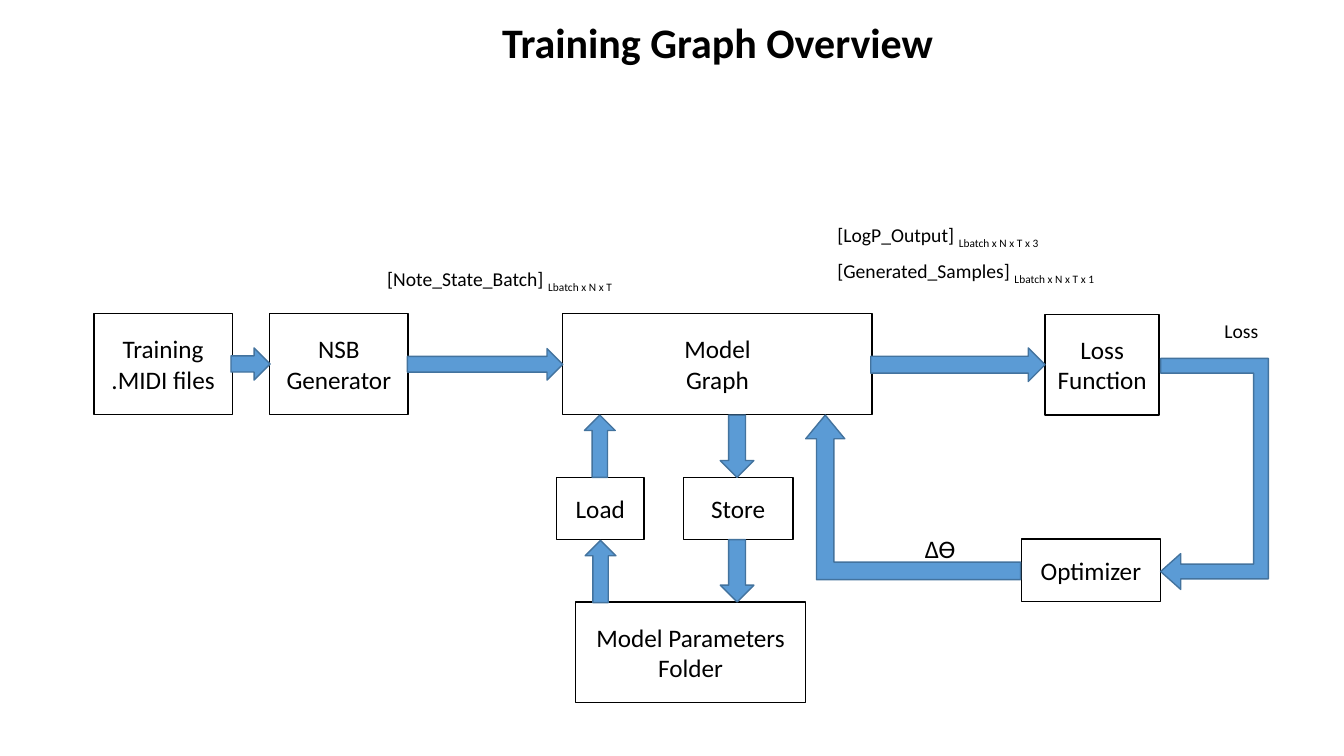
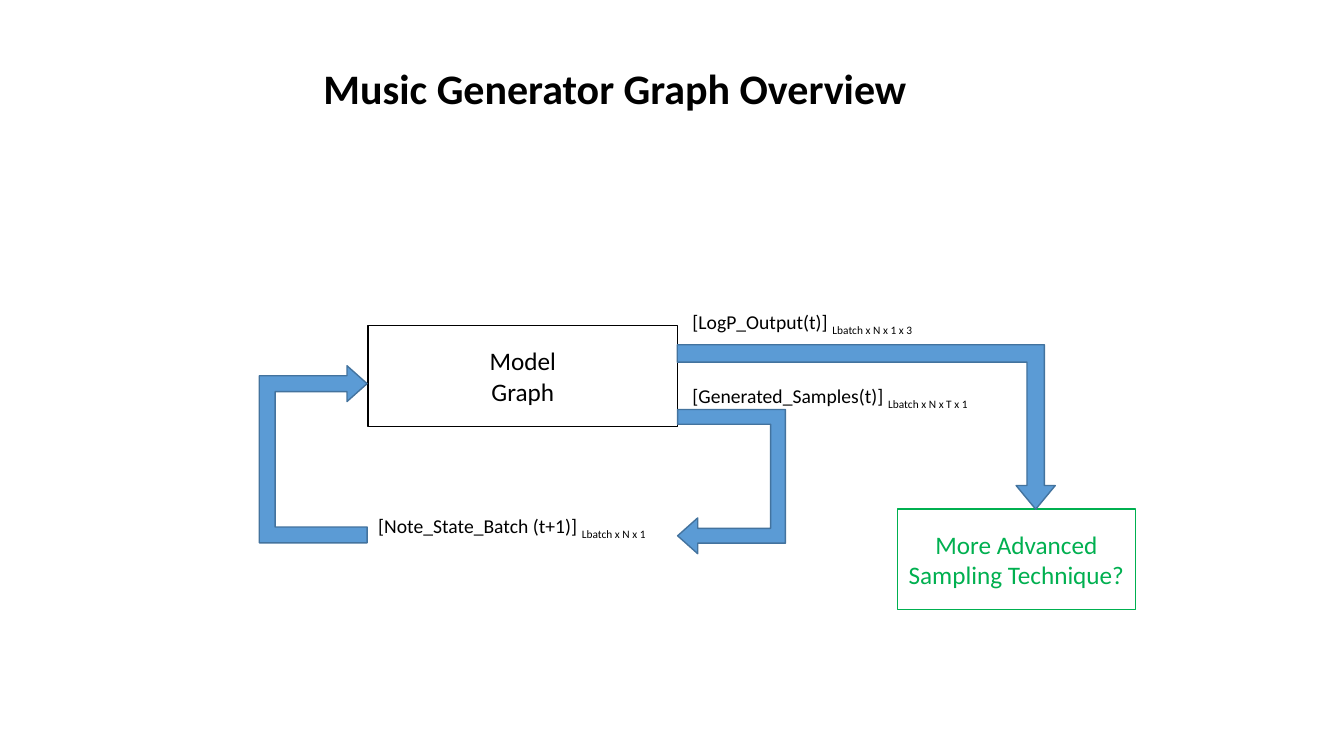
import pptx
import pptx.util
import pptx.dml.color
import pptx.enum.shapes
import pptx.enum.text

Pt = pptx.util.Pt
KIND = pptx.enum.shapes.MSO_SHAPE
ALIGN = pptx.enum.text.PP_ALIGN
ANCHOR = pptx.enum.text.MSO_ANCHOR

FONT = "Calibri"
BLACK, WHITE, GREEN = "000000", "FFFFFF", "00B050"
BLUE, EDGE = "5B9BD5", "43739E"
BEND = (0.106, 0.119, 0.144, 0)
TURN = (0.137, 0.166, 0.186, 0, 1)
LOOP = (0.147,) + TURN[1:]


def hue(code):
    return pptx.dml.color.RGBColor.from_string(code)


def write(shape, text, size=18, color=BLACK, bold=False, align=ALIGN.LEFT,
          anchor=ANCHOR.TOP, wrap=True, sub=""):
    """Fill a shape with text, one paragraph a line, and a subscript last."""
    frame = shape.text_frame
    frame.word_wrap = wrap
    frame.vertical_anchor = anchor
    frame.text = text
    for para in frame.paragraphs:
        para.alignment = align
    if sub:
        run = frame.paragraphs[-1].add_run()
        run.text = sub
        run.font._element.set("baseline", "-25000")
    for para in frame.paragraphs:
        for run in para.runs:
            font = run.font
            font.name, font.size, font.bold = FONT, Pt(size), bold
            font.color.rgb = hue(color)


# Each slide: title, boxes, arrows and labels, lengths in points
row, high, low = 224, 72, 44.5
pages = [
    {
        "title": ("Training Graph Overview", 351.5, 8, 325.5),
        "boxes": [
            ("Training\n.MIDI files", 67, row, 99, high, BLACK),
            ("NSB\nGenerator", 192.5, row, 99, high, BLACK),
            ("Model\nGraph", 402, row, 221, high, BLACK),
            ("Loss\nFunction", 746.5, row + 0.5, 81.5, high, BLACK),
            ("Load", 397.5, 341, 62.5, low, BLACK),
            ("Store", 488, 341, 78.5, low, BLACK),
            ("Optimizer", 729.5, 385, 99.5, low, BLACK),
            ("Model Parameters\nFolder", 411, 430, 164.5, high, BLACK),
        ],
        "arrows": [
            (KIND.RIGHT_ARROW, 165, 248.5, 28, 23, 0, ()),
            (KIND.RIGHT_ARROW, 291, 249, 111, 22.5, 0, ()),
            (KIND.RIGHT_ARROW, 622, 248.5, 124.5, 24, 0, ()),
            (KIND.UP_ARROW, 417.5, 296.5, 22, low, 0, ()),
            (KIND.UP_ARROW, 418, 386, 22, low, 0, ()),
            (KIND.DOWN_ARROW, 514.5, 296.5, 24, low, 0, ()),
            (KIND.DOWN_ARROW, 514.5, 385.5, 24, low, 0, ()),
            (KIND.BENT_ARROW, 593.5, 278.5, 117.5, 153.5, 270, BEND),
            (KIND.U_TURN_ARROW, 785, 300, 165, 77, 90, TURN),
        ],
        "labels": [
            ("[Note_State_Batch] ", "Lbatch x N x T", 269.5, 187, 201, 14),
            ("[LogP_Output] ", "Lbatch x N x T x 3", 591, 156, 220, 14),
            ("[Generated_Samples] ", "Lbatch x N x T x 1", 591, 181.5, 226, 14),
            ("Loss", "", 867.5, 224.5, 46, 14),
            ("Δϴ", "", 653.5, 377.5, 39, 18),
        ],
    },
    {
        "title": ("Music Generator Graph Overview", 224, 41, 435),
        "boxes": [
            ("Model\nGraph", 263, 232.5, 221, high, BLACK),
            ("More Advanced Sampling Technique?", 641, 363.5, 170, high, GREEN),
        ],
        "arrows": [
            (KIND.U_TURN_ARROW, 471, 305.5, 103, 77, 90, TURN),
            (KIND.U_TURN_ARROW, 160.5, 286, 126.5, 77, 270, LOOP),
            (KIND.BENT_ARROW, 560, 170, 117.5, 270, 90, BEND),
        ],
        "labels": [
            ("[Note_State_Batch (t+1)] ", "Lbatch x N x 1", 263, 363.5, 223, 14),
            ("[LogP_Output(t)] ", "Lbatch x N x 1 x 3", 487.5, 218, 220, 14),
            ("[Generated_Samples(t)] ", "Lbatch x N x T x 1", 487.5, 270.5, 226, 14),
        ],
    },
]

deck = pptx.Presentation()
deck.slide_width, deck.slide_height = Pt(960), Pt(540)


def draw(slide, kind, area, fill, line):
    """Add a flat preset shape with a thin outline."""
    shape = slide.shapes.add_shape(kind, *map(Pt, area))
    shape.shadow.inherit = False
    shape.fill.solid()
    shape.fill.fore_color.rgb = hue(fill)
    shape.line.color.rgb = hue(line)
    shape.line.width = Pt(1)
    return shape


for page in pages:
    slide = deck.slides.add_slide(deck.slide_layouts[6])

    # Title
    text, left, top, wide = page["title"]
    box = slide.shapes.add_textbox(Pt(left), Pt(top), Pt(wide), Pt(44))
    write(box, text, size=30, bold=True, wrap=False)

    # Boxes
    for text, *area, color in page["boxes"]:
        box = draw(slide, KIND.RECTANGLE, area, WHITE, color)
        write(box, text, color=color, align=ALIGN.CENTER, anchor=ANCHOR.MIDDLE)

    # Block arrows
    for kind, *area, turn, bends in page["arrows"]:
        arrow = draw(slide, kind, area, BLUE, EDGE)
        arrow.rotation = turn
        for i, bend in enumerate(bends):
            arrow.adjustments[i] = bend

    # Labels
    for text, sub, left, top, wide, size in page["labels"]:
        box = slide.shapes.add_textbox(Pt(left), Pt(top), Pt(wide), Pt(24.5))
        write(box, text, size=size, sub=sub)

deck.save("out.pptx")
